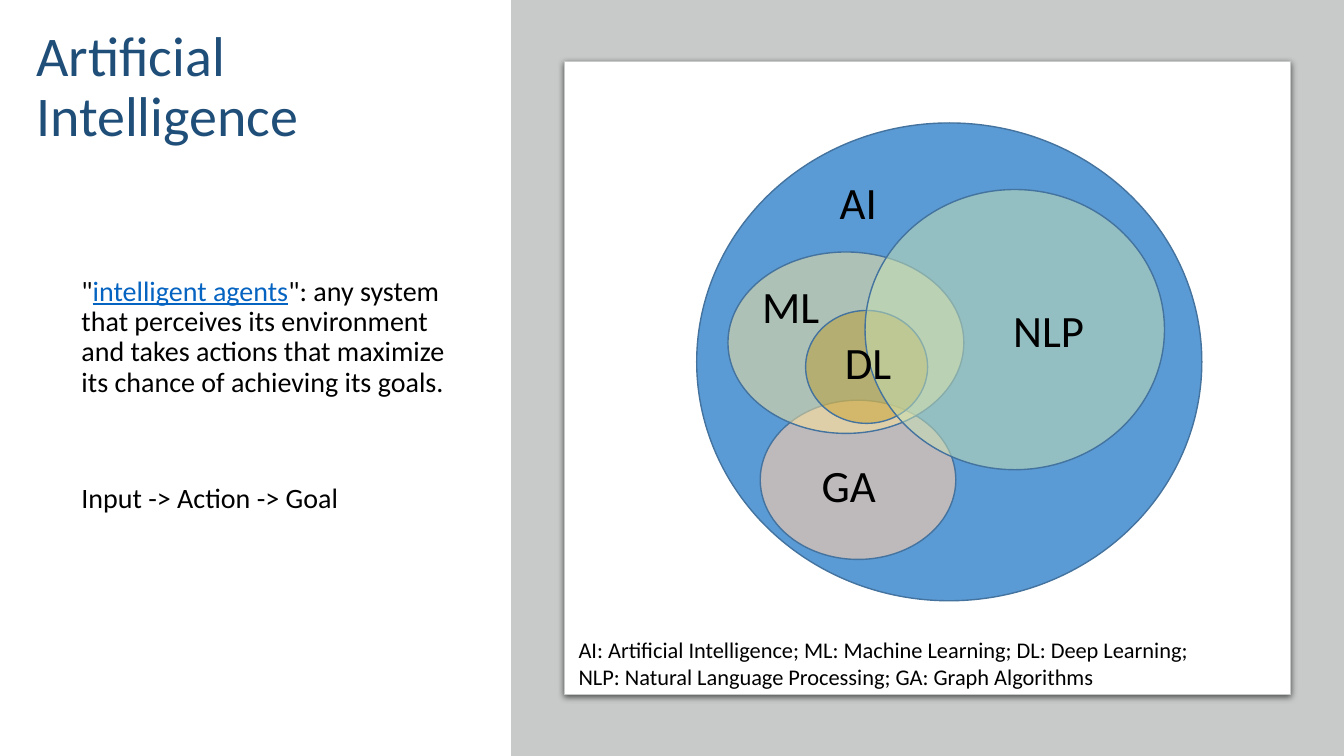
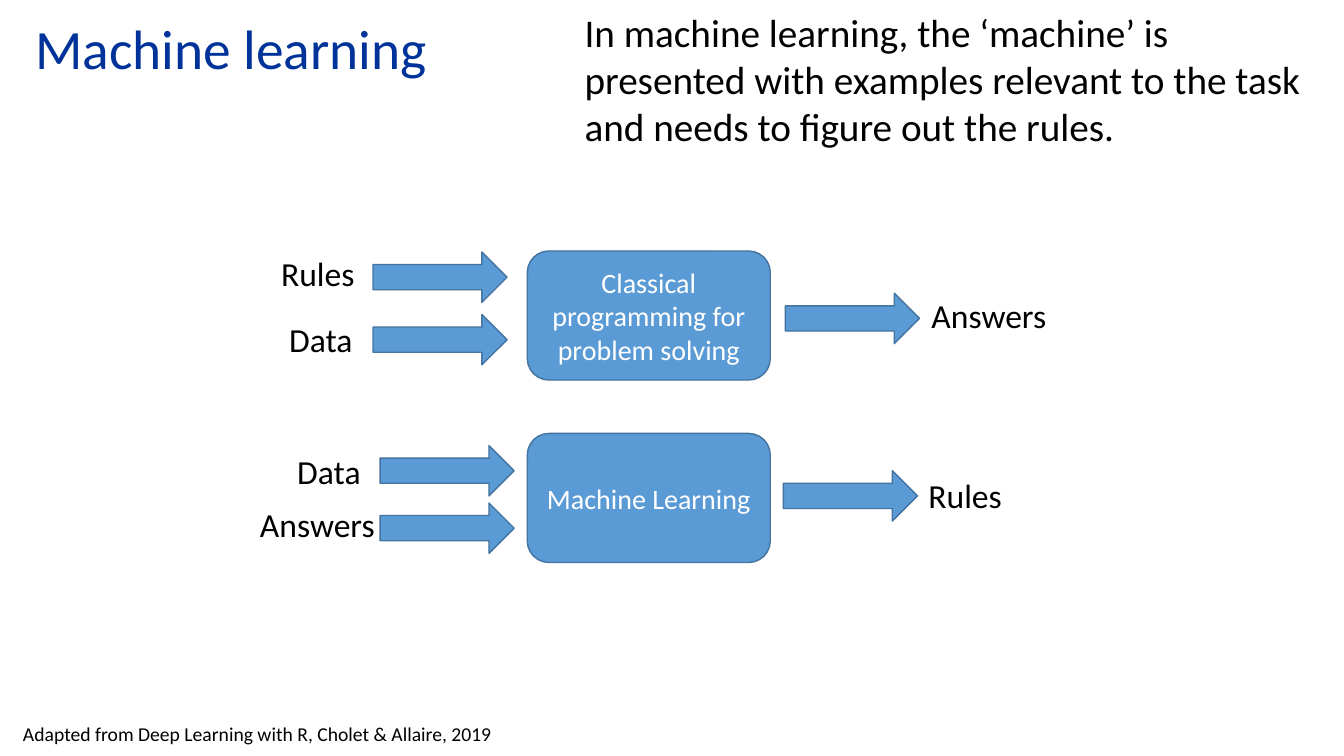
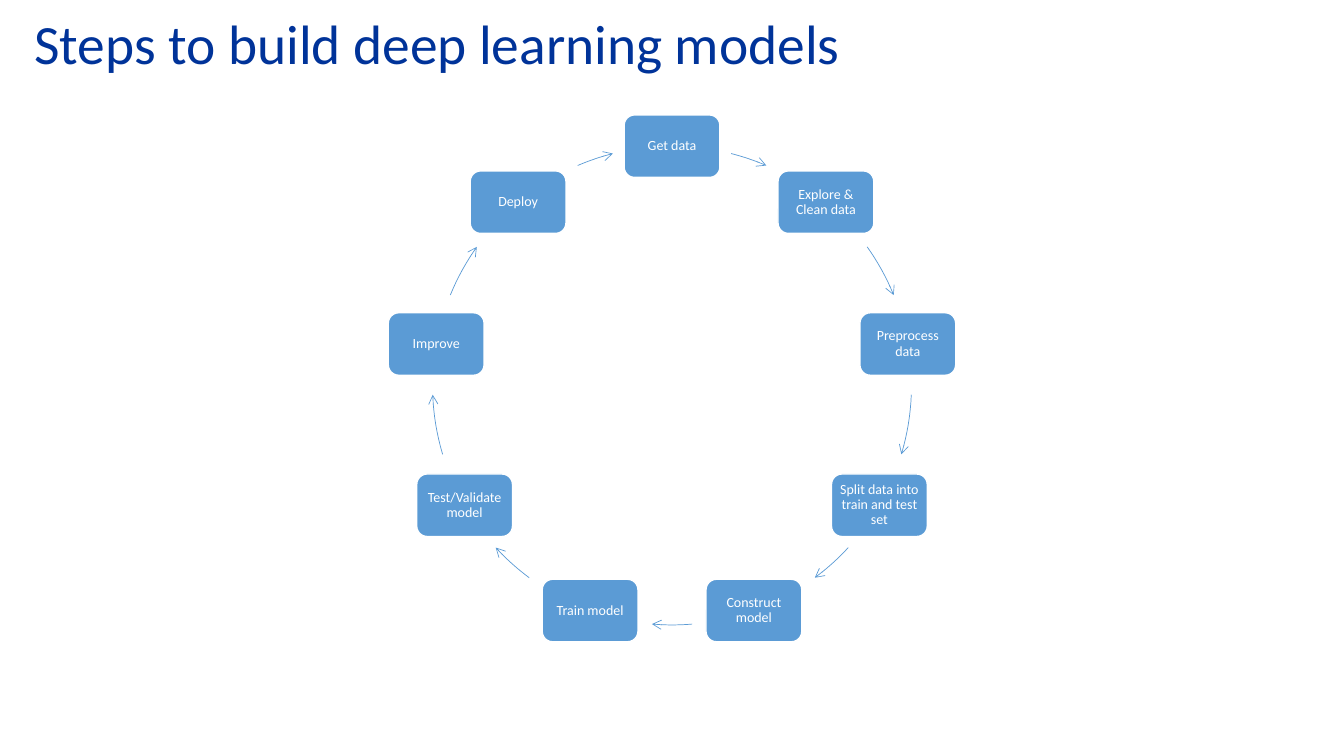
from math import cos, radians, sin

from lxml import etree
from pptx import Presentation
from pptx.dml.color import RGBColor
from pptx.enum import shapes, text
from pptx.oxml.ns import qn
from pptx.util import Inches, Pt

BLACK = RGBColor(0x00, 0x00, 0x00)
WHITE = RGBColor(0xFF, 0xFF, 0xFF)
BLUE = RGBColor(0x5B, 0x9B, 0xD5)
EDGE = RGBColor(0x43, 0x73, 0x9E)
GREY = RGBColor(0xC8, 0xCA, 0xCA)
NAVY = RGBColor(0x00, 0x33, 0x99)
SLATE = RGBColor(0x1F, 0x4E, 0x79)
LINK = RGBColor(0x05, 0x63, 0xC1)
PEACH = RGBColor(0xF8, 0xCB, 0xAD)
CREAM = RGBColor(0xFF, 0xE6, 0x99)
GOLD = RGBColor(0xBF, 0x90, 0x00)
MINT = RGBColor(0xC5, 0xE0, 0xB4)

FONT = "Calibri"
FORM = shapes.MSO_SHAPE
LEFT, MID = text.PP_ALIGN.LEFT, text.PP_ALIGN.CENTER
TOP, CENTRE = text.MSO_ANCHOR.TOP, text.MSO_ANCHOR.MIDDLE
FIT = text.MSO_AUTO_SIZE
RING_X, RING_Y, RING = 4.29, 1.45, 4.75


def write(frame, *paras, size=20, ink=BLACK, align=LEFT, anchor=TOP, lead=None,
          after=None, gap=None, wrap=True, grow=False, pad=None):
    """Fill a frame; a paragraph is a string or a list of (words, ink, underline)."""
    frame.word_wrap = wrap
    frame.auto_size = FIT.SHAPE_TO_FIT_TEXT if grow else FIT.NONE
    frame.vertical_anchor = anchor
    if pad is not None:
        frame.margin_left = frame.margin_right = Inches(pad)
        frame.margin_top = frame.margin_bottom = Inches(pad)
    for i, para in enumerate(paras):
        p = frame.add_paragraph() if i else frame.paragraphs[0]
        p.alignment = align
        if lead:
            p.line_spacing = lead
        if after:
            p.space_after = Pt(after)
        if gap and i:
            p.space_before = Pt(gap)
        runs = [(para, ink, False)] if isinstance(para, str) else para
        for words, hue, under in runs:
            run = p.add_run()
            run.text = words
            font = run.font
            font.name, font.size = FONT, Pt(size)
            font.color.rgb = hue
            if under:
                font.underline = True


def alpha(node, part):
    etree.SubElement(node, qn("a:alpha"), val=str(part * 1000))


class Deck:
    def __init__(self):
        self.prs = Presentation()
        self.prs.slide_width = Inches(13.33)
        self.prs.slide_height = Inches(7.5)
        self.slide = None

    def start(self, title, box, ink=NAVY, size=39.6):
        self.slide = self.prs.slides.add_slide(self.prs.slide_layouts[5])
        head = self.slide.shapes.title
        head.left, head.top, head.width, head.height = map(Inches, box)
        write(head.text_frame, title, size=size, ink=ink, anchor=CENTRE, lead=0.9)

    def label(self, box, *paras, **style):
        item = self.slide.shapes.add_textbox(*map(Inches, box))
        write(item.text_frame, *paras, **style)

    def shape(self, form, box, fill=BLUE, line=EDGE, width=1, clear=None):
        item = self.slide.shapes.add_shape(form, *map(Inches, box))
        item.shadow.inherit = False
        item.fill.solid()
        item.fill.fore_color.rgb = fill
        if clear:
            alpha(item._element.spPr.find(qn("a:solidFill"))[0], clear)
        if line is None:
            item.line.fill.background()
        else:
            item.line.color.rgb = line
            item.line.width = Pt(width)
        return item

    def block(self, box, words, size=20, line=EDGE, **style):
        item = self.shape(FORM.ROUNDED_RECTANGLE, box, line=line)
        write(item.text_frame, words, size=size, ink=WHITE, align=MID,
              anchor=CENTRE, **style)

    def panel(self, box):
        """Draw a white card with a soft shadow below it."""
        item = self.shape(FORM.ROUNDED_RECTANGLE, box, WHITE, GREY, 0.75)
        item.adjustments[0] = 0
        glow = etree.SubElement(
            item._element.spPr.find(qn("a:effectLst")), qn("a:outerShdw"),
            blurRad=str(Pt(4.5)), dist=str(Pt(1.5)), dir="5400000", rotWithShape="0")
        alpha(etree.SubElement(glow, qn("a:srgbClr"), val=str(BLACK)), 63)

    def arc(self, spots):
        """Draw an open curve with an arrowhead, framed by the whole ring."""
        ends = [(RING_X, RING_Y), (RING_X + RING, RING_Y + RING)]
        near, far, first, *rest = [(Inches(x), Inches(y)) for x, y in ends + spots]
        pen = self.slide.shapes.build_freeform(*near)
        pen.move_to(*far)
        pen.move_to(*first)
        pen.add_line_segments(rest, close=False)
        item = pen.convert_to_shape()
        # The two corner moves only size the frame.
        for move in item._element.findall(".//" + qn("a:moveTo"))[:2]:
            move.getparent().remove(move)
        item.shadow.inherit = False
        item.fill.background()
        item.line.color.rgb = BLUE
        item.line.width = Pt(0.5)
        etree.SubElement(item.line._get_or_add_ln(), qn("a:tailEnd"), type="arrow")


def fields(deck):
    deck.start("Artificial Intelligence", (0.26, -0.01, 3.83, 1.77), SLATE, 40)
    deck.label(
        (0.71, 2.7, 3.83, 2.71),
        [('"', BLACK, False), ("intelligent agents", LINK, True),
         ('": any system that perceives its environment and takes actions '
          "that maximize its chance of achieving its goals.", BLACK, False)],
        "Input -> Action -> Goal", lead=0.9, after=6, gap=55.5)
    deck.shape(FORM.RECTANGLE, (5.07, 0, 8.26, 7.5), GREY, None)
    deck.panel((5.6, 0.61, 7.2, 6.28))
    for box, fill, clear in (
            ((6.91, 1.22, 5.01, 4.74), BLUE, None),
            ((7.54, 3.97, 1.94, 1.58), PEACH, 63),
            ((7.22, 2.5, 2.34, 1.8), CREAM, 51),
            ((7.99, 3.08, 1.21, 1.12), GOLD, 37),
            ((8.58, 1.88, 2.97, 2.78), MINT, 53)):
        deck.shape(FORM.OVAL, box, fill, clear=clear)
    for name, x, y in (("AI", 8.23, 1.68), ("NLP", 9.95, 2.95), ("ML", 7.46, 2.72),
                       ("DL", 8.28, 3.27), ("GA", 8.05, 4.49)):
        deck.label((x, y, 1.19, 0.64), name, size=32, grow=True)
    deck.label((5.64, 6.26, 7.13, 0.64),
               "AI: Artificial Intelligence; ML: Machine Learning; DL: Deep Learning;",
               "NLP: Natural Language Processing; GA: Graph Algorithms",
               size=16, grow=True)


def flows(deck):
    deck.start("Machine learning", (0.25, 0.21, 11.5, 0.61))
    deck.label((0.13, 7.11, 4.9, 0.34),
               "Adapted from Deep Learning with R, Cholet & Allaire, 2019",
               size=14, wrap=False, grow=True)
    for words, y in (("Classical programming for problem solving", 2.49),
                     ("Machine Learning", 4.3)):
        deck.block((5.23, y, 2.41, 1.28), words)
    for x, y in ((3.7, 2.5), (3.7, 3.12), (3.77, 4.42), (3.77, 4.99),
                 (7.77, 4.67), (7.79, 2.91)):
        deck.shape(FORM.RIGHT_ARROW, (x, y, 1.33, 0.5))
    wide = {"Rules": 0.94, "Data": 0.84, "Answers": 1.35}
    for word, x, y in (("Rules", 2.69, 2.46), ("Data", 2.77, 3.11),
                       ("Answers", 9.14, 2.88), ("Data", 2.85, 4.42),
                       ("Answers", 2.48, 4.95), ("Rules", 9.11, 4.66)):
        deck.label((x, y, wide[word], 0.5), word, size=24, wrap=False, grow=True)
    deck.label((5.7, 0.03, 7.63, 1.51),
               "In machine learning, the ‘machine’ is presented with examples "
               "relevant to the task and needs to figure out the rules.",
               size=28, grow=True)


def spot(angle):
    """Give the point of the ring at an angle in degrees, clockwise from the top."""
    turn, half = radians(angle), RING / 2
    return RING_X + half * (1 + sin(turn)), RING_Y + half * (1 - cos(turn))


def cycle(deck):
    deck.start("Steps to build deep learning models", (0.24, 0.16, 11.5, 0.61))
    steps = ("Get data", "Explore & Clean data", "Preprocess data",
             "Split data into train and test set", "Construct model", "Train model",
             "Test/Validate model", "Improve", "Deploy")
    half = [(14.3, 23.2), (54.6, 67.8), (92.2, 106.7), (132.6, 143.4)]
    spans = half + [(175.2, 184.8)] + [(360 - b, 360 - a) for a, b in half[::-1]]
    wide, high, cuts = 0.95, 0.62, 8
    for i, (step, (a, b)) in enumerate(zip(steps, spans)):
        x, y = spot(i * 360 / len(steps))
        deck.block((x - wide / 2, y - high / 2, wide, high), step, size=10,
                   line=WHITE, lead=0.9, pad=0.04)
        deck.arc([spot(a + (b - a) * k / cuts) for k in range(cuts + 1)])


def main():
    deck = Deck()
    fields(deck)
    flows(deck)
    cycle(deck)
    deck.prs.save("out.pptx")


if __name__ == "__main__":
    main()
